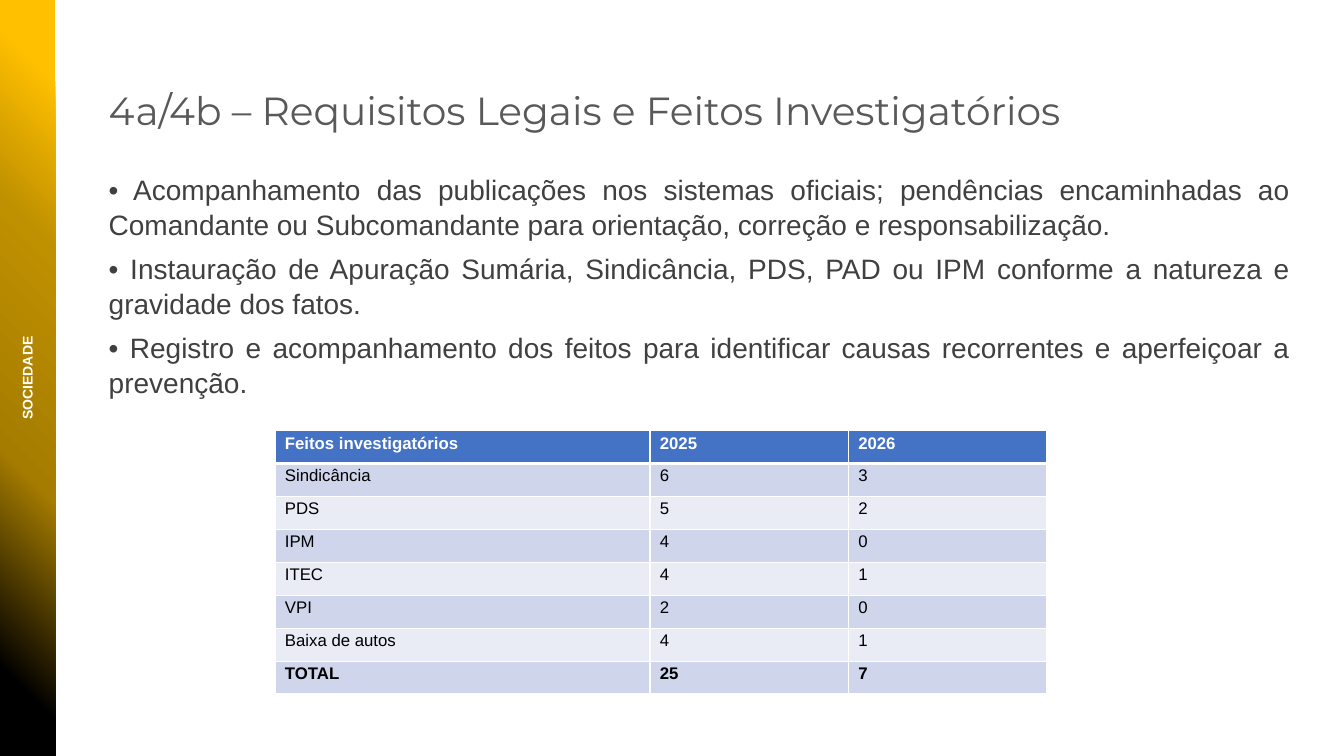
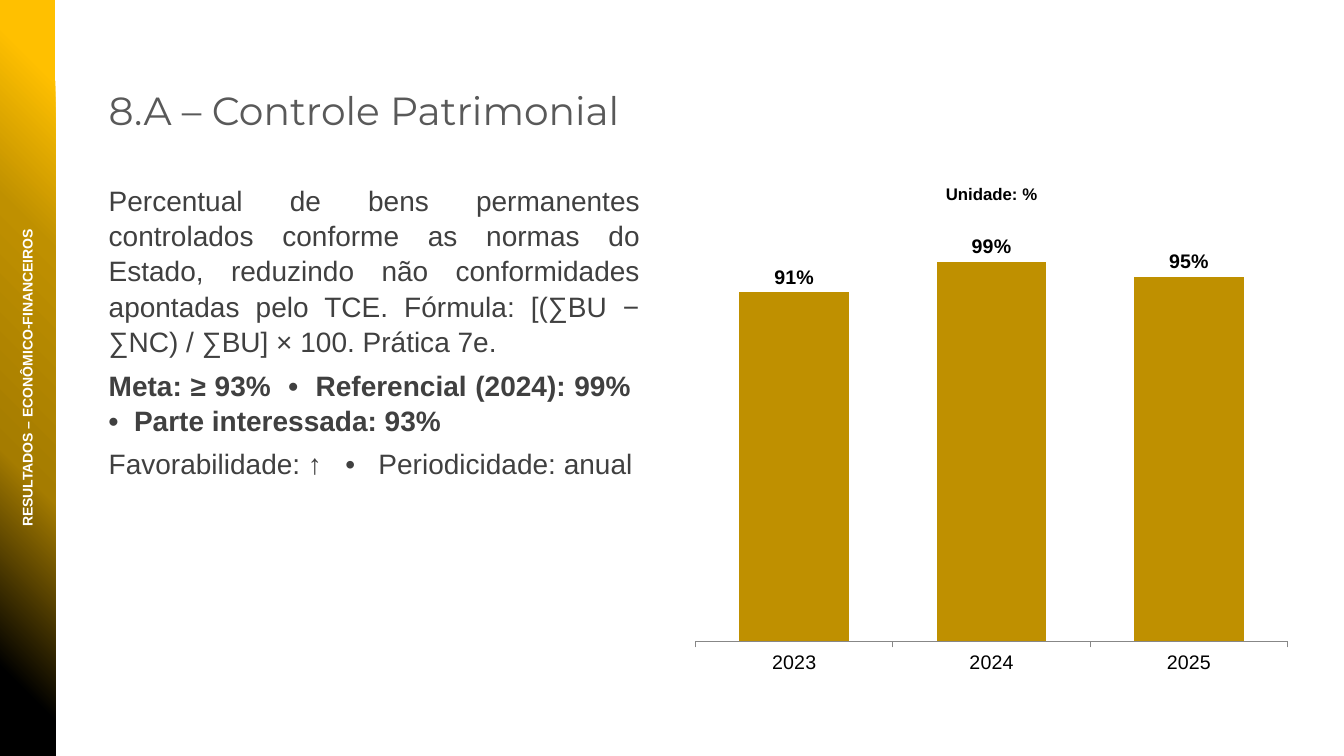
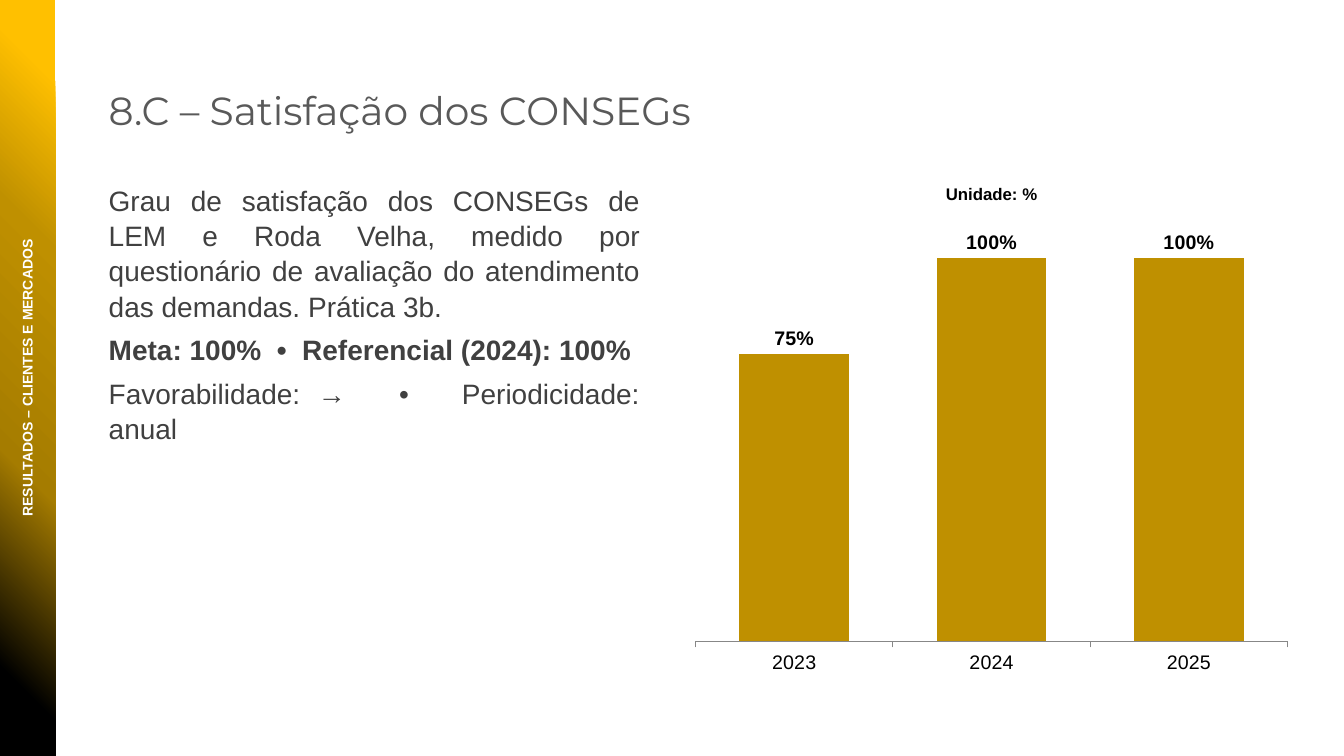
from dataclasses import dataclass

from lxml import etree
from pptx import Presentation
from pptx.chart.data import CategoryChartData
from pptx.dml.color import RGBColor
from pptx.enum.chart import XL_CHART_TYPE, XL_LABEL_POSITION, XL_TICK_MARK
from pptx.enum.shapes import MSO_SHAPE
from pptx.enum.text import PP_ALIGN
from pptx.oxml.ns import qn
from pptx.util import Cm, Pt

LEFT, CENTER, JUSTIFY = PP_ALIGN.LEFT, PP_ALIGN.CENTER, PP_ALIGN.JUSTIFY
RECTANGLE = MSO_SHAPE.RECTANGLE
COLUMNS = XL_CHART_TYPE.COLUMN_CLUSTERED
OUTSIDE_END = XL_LABEL_POSITION.OUTSIDE_END
TICK_OUTSIDE = XL_TICK_MARK.OUTSIDE

BODY_FONT, TITLE_FONT = "Arial", "Montserrat"
WHITE, BLACK, GOLD = "FFFFFF", "000000", "BF9000"
TITLE_GREY, BODY_GREY, AXIS_GREY = "595959", "404040", "878787"
HEADER_BLUE, ROW_DARK, ROW_LIGHT = "4472C4", "CFD5EA", "E9EBF5"
BAND_STOPS = [(0, BLACK), (11, BLACK), (38, "A57C00"),
              (69, GOLD), (90, "FFC000"), (100, "FFC000")]

SLIDE_WIDTH, SLIDE_HEIGHT = 33.87, 19.05
BAND_WIDTH = 1.4
CONTENT_LEFT = 2.49
CONTENT_TOP = 4.17


@dataclass
class Box:
    """A place on the slide, in centimetres."""
    left: float
    top: float
    width: float
    height: float

    def lengths(self) -> tuple:
        return Cm(self.left), Cm(self.top), Cm(self.width), Cm(self.height)


@dataclass
class Style:
    size: float
    color: str
    font: str = BODY_FONT
    bold: bool = False
    align: PP_ALIGN = LEFT


@dataclass
class Indicator:
    section: str
    title: str
    description: str
    targets: str
    tracking: str
    values: tuple


TITLE_BOX = Box(CONTENT_LEFT, 2.06, 31.01, 1.45)
PRACTICE_BOX = Box(CONTENT_LEFT, CONTENT_TOP, 30.28, 13.61)
INDICATOR_BOX = Box(CONTENT_LEFT, 4.45, 13.89, 12.78)
CHART_BOX = Box(17.22, CONTENT_TOP, 15.54, 13.06)
SECTION_LENGTH, SECTION_HEIGHT = 14.91, 0.71
SECTION_BOX = Box((BAND_WIDTH - SECTION_LENGTH) / 2, (SLIDE_HEIGHT - SECTION_HEIGHT) / 2,
                  SECTION_LENGTH, SECTION_HEIGHT)
TABLE_LEFT, TABLE_TOP, ROW_HEIGHT = 6.93, 10.85, 0.83
COLUMN_WIDTHS = (9.45, 5.0, 5.0)

TITLE = Style(28, TITLE_GREY, TITLE_FONT)
SECTION = Style(10, WHITE, bold=True, align=CENTER)
BODY = Style(20, BODY_GREY, align=JUSTIFY)
BODY_BOLD = Style(20, BODY_GREY, bold=True, align=JUSTIFY)
TABLE_HEAD = Style(12, WHITE, bold=True)
TABLE_CELL = Style(12, BLACK)
TABLE_TOTAL = Style(12, BLACK, bold=True)

PRACTICES = [
    "• Acompanhamento das publicações nos sistemas oficiais; pendências encaminhadas ao "
    "Comandante ou Subcomandante para orientação, correção e responsabilização.",
    "• Instauração de Apuração Sumária, Sindicância, PDS, PAD ou IPM conforme a natureza "
    "e gravidade dos fatos.",
    "• Registro e acompanhamento dos feitos para identificar causas recorrentes e "
    "aperfeiçoar a prevenção.",
]
INVESTIGATIONS = [
    ("Feitos investigatórios", "2025", "2026"),
    ("Sindicância", "6", "3"),
    ("PDS", "5", "2"),
    ("IPM", "4", "0"),
    ("ITEC", "4", "1"),
    ("VPI", "2", "0"),
    ("Baixa de autos", "4", "1"),
    ("TOTAL", "25", "7"),
]
YEARS = ("2023", "2024", "2025")
INDICATORS = [
    Indicator(
        "RESULTADOS – ECONÔMICO-FINANCEIROS",
        "8.A – Controle Patrimonial",
        "Percentual de bens permanentes controlados conforme as normas do Estado, reduzindo "
        "não conformidades apontadas pelo TCE. Fórmula: [(∑BU − ∑NC) / ∑BU] × 100. Prática 7e.",
        "Meta: ≥ 93%  •  Referencial (2024): 99%  •  Parte interessada: 93%",
        "Favorabilidade: ↑   •   Periodicidade: anual",
        (91, 99, 95)),
    Indicator(
        "RESULTADOS – CLIENTES E MERCADOS",
        "8.C – Satisfação dos CONSEGs",
        "Grau de satisfação dos CONSEGs de LEM e Roda Velha, medido por questionário de "
        "avaliação do atendimento das demandas. Prática 3b.",
        "Meta: 100%  •  Referencial (2024): 100%",
        "Favorabilidade: →   •   Periodicidade: anual",
        (75, 100, 100)),
]


def rgb(color: str) -> RGBColor:
    return RGBColor.from_string(color)


def apply_style(paragraph, style: Style) -> None:
    paragraph.alignment = style.align
    font = paragraph.font
    font.name, font.size, font.bold = style.font, Pt(style.size), style.bold
    font.color.rgb = rgb(style.color)


def add_text(slide, box: Box, lines: list, space_after: float = 0, line_spacing: float = 1.0):
    """Add a text box with one paragraph for each (text, style) pair."""
    text_box = slide.shapes.add_textbox(*box.lengths())
    frame = text_box.text_frame
    frame.word_wrap = True
    for index, (text, style) in enumerate(lines):
        paragraph = frame.add_paragraph() if index else frame.paragraphs[0]
        paragraph.text = text
        paragraph.space_after = Pt(space_after)
        paragraph.line_spacing = line_spacing
        apply_style(paragraph, style)
    return text_box


def add_body(slide, box: Box, lines: list) -> None:
    add_text(slide, box, lines, space_after=6, line_spacing=1.05)


def add_color(parent, color: str) -> None:
    etree.SubElement(parent, qn("a:srgbClr"), val=color)


def fill_band(band) -> None:
    """Fill with a round gradient that starts in the lower left corner."""
    band.fill.gradient()
    gradient = band._element.spPr.find(qn("a:gradFill"))
    for child in list(gradient):
        gradient.remove(child)
    stops = etree.SubElement(gradient, qn("a:gsLst"))
    for position, color in BAND_STOPS:
        add_color(etree.SubElement(stops, qn("a:gs"), pos=str(position * 1000)), color)
    shade = etree.SubElement(gradient, qn("a:path"), path="circle")
    etree.SubElement(shade, qn("a:fillToRect"), t="100000", r="100000")


def add_base_slide(deck, section: str, title: str):
    """Add a slide with the side band, the title and the section name."""
    slide = deck.slides.add_slide(deck.slide_layouts[6])
    band = slide.shapes.add_shape(RECTANGLE, *Box(0, 0, BAND_WIDTH, SLIDE_HEIGHT).lengths())
    band.shadow.inherit = False
    band.line.fill.background()
    fill_band(band)
    add_text(slide, TITLE_BOX, [(title, TITLE)])
    add_text(slide, SECTION_BOX, [(section, SECTION)]).rotation = 270
    return slide


def set_borders(cell, bottom: float) -> None:
    properties = cell._tc.get_or_add_tcPr()
    edges = [("a:lnL", 1), ("a:lnR", 1), ("a:lnT", 1), ("a:lnB", bottom)]
    for index, (tag, width) in enumerate(edges):
        edge = etree.Element(qn(tag), w=str(Pt(width)))
        add_color(etree.SubElement(edge, qn("a:solidFill")), WHITE)
        properties.insert(index, edge)


def fill_cell(cell, text: str, style: Style, color: str, bottom: float) -> None:
    cell.text = text
    cell.margin_left = cell.margin_right = Cm(0.25)
    cell.margin_top = cell.margin_bottom = Cm(0.08)
    cell.fill.solid()
    cell.fill.fore_color.rgb = rgb(color)
    set_borders(cell, bottom)
    apply_style(cell.text_frame.paragraphs[0], style)


def add_investigations(slide) -> None:
    row_count = len(INVESTIGATIONS)
    box = Box(TABLE_LEFT, TABLE_TOP, sum(COLUMN_WIDTHS), ROW_HEIGHT * row_count)
    table = slide.shapes.add_table(row_count, len(COLUMN_WIDTHS), *box.lengths()).table
    for column, width in zip(table.columns, COLUMN_WIDTHS):
        column.width = Cm(width)
    for index, (row, texts) in enumerate(zip(table.rows, INVESTIGATIONS)):
        row.height = Cm(ROW_HEIGHT)
        style, color, bottom = TABLE_CELL, ROW_DARK if index % 2 else ROW_LIGHT, 1
        if index == 0:
            style, color, bottom = TABLE_HEAD, HEADER_BLUE, 3
        elif index == row_count - 1:
            style = TABLE_TOTAL
        for cell, text in zip(row.cells, texts):
            fill_cell(cell, text, style, color, bottom)


def add_yearly_chart(slide, values: tuple) -> None:
    data = CategoryChartData()
    data.categories = YEARS
    data.add_series("Series 1", values)
    chart = slide.shapes.add_chart(COLUMNS, *CHART_BOX.lengths(), data).chart
    chart.has_legend = False
    chart.font.name, chart.font.size = BODY_FONT, Pt(18)
    chart.font.color.rgb = rgb(BLACK)

    chart.has_title = True
    heading = chart.chart_title.text_frame.paragraphs[0]
    heading.text = "Unidade: %"
    apply_style(heading, Style(12, BLACK, bold=True, align=CENTER))
    chart.chart_title.include_in_layout = False

    value_axis = chart.value_axis
    value_axis.minimum_scale, value_axis.maximum_scale = 0, 110
    value_axis.has_major_gridlines = False
    value_axis.visible = False
    year_axis = chart.category_axis
    year_axis.major_tick_mark = TICK_OUTSIDE
    year_axis.tick_labels.font.size = Pt(14)
    year_axis.format.line.color.rgb = rgb(AXIS_GREY)

    plot = chart.plots[0]
    plot.gap_width = 80
    plot.vary_by_categories = False
    bars = plot.series[0]
    bars.format.fill.solid()
    bars.format.fill.fore_color.rgb = rgb(GOLD)
    labels = bars.data_labels
    labels.show_value = True
    labels.position = OUTSIDE_END
    labels.number_format = '0"%"'
    labels.number_format_is_linked = False
    labels.font.size, labels.font.bold = Pt(14), True


def add_practice_slide(deck) -> None:
    slide = add_base_slide(deck, "SOCIEDADE",
                           "4a/4b – Requisitos Legais e Feitos Investigatórios")
    add_body(slide, PRACTICE_BOX, [(practice, BODY) for practice in PRACTICES])
    add_investigations(slide)


def add_indicator_slide(deck, indicator: Indicator) -> None:
    slide = add_base_slide(deck, indicator.section, indicator.title)
    add_body(slide, INDICATOR_BOX, [(indicator.description, BODY),
                                    (indicator.targets, BODY_BOLD),
                                    (indicator.tracking, BODY)])
    add_yearly_chart(slide, indicator.values)


def main() -> None:
    deck = Presentation()
    deck.slide_width, deck.slide_height = Cm(SLIDE_WIDTH), Cm(SLIDE_HEIGHT)
    add_practice_slide(deck)
    for indicator in INDICATORS:
        add_indicator_slide(deck, indicator)
    deck.save("out.pptx")


if __name__ == "__main__":
    main()
